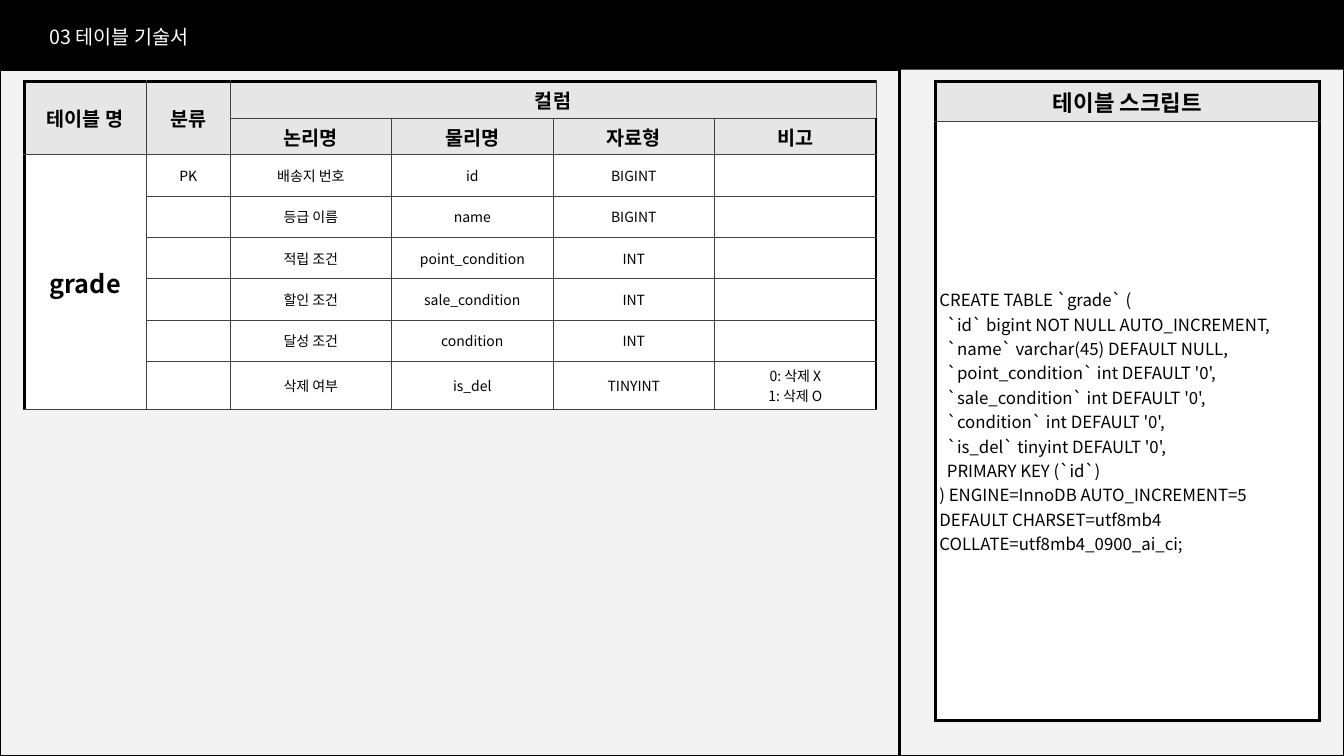
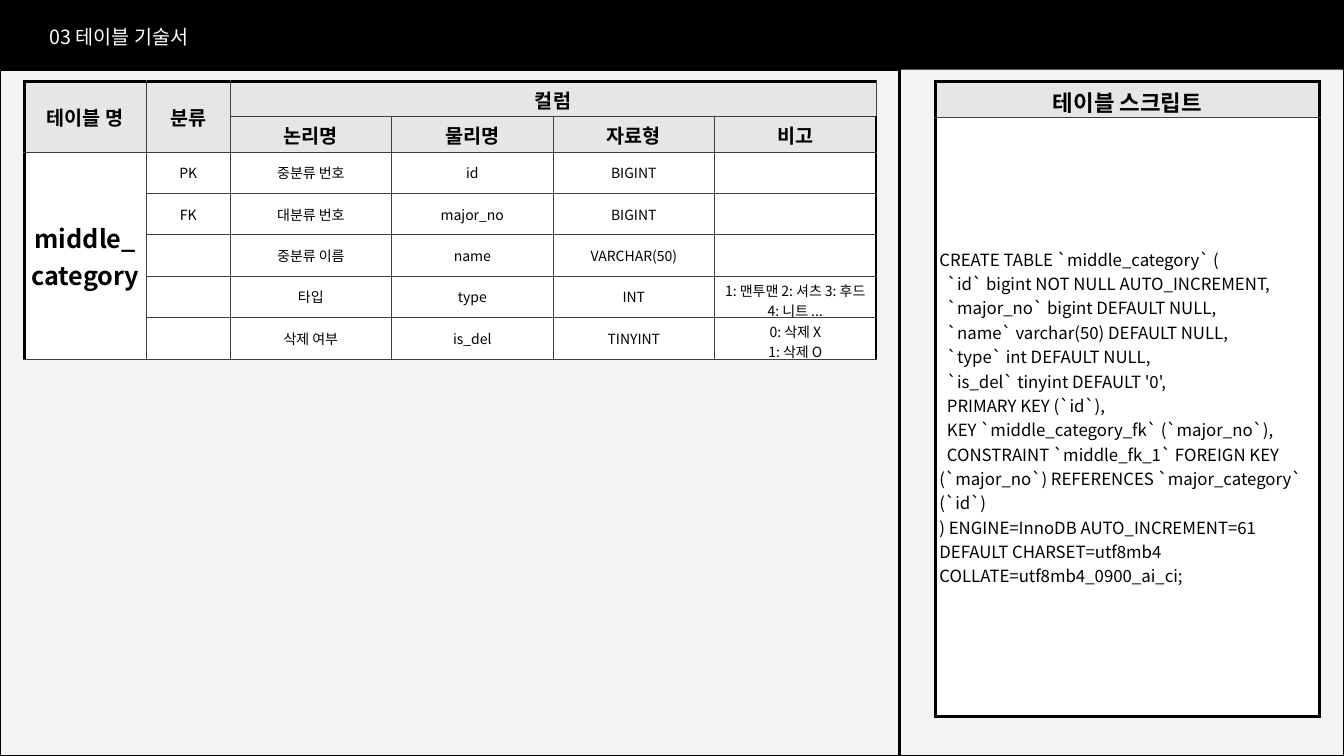
from collections import namedtuple

from lxml.etree import SubElement
from pptx import Presentation
from pptx.dml.color import RGBColor as Rgb
from pptx.enum.shapes import MSO_SHAPE as Shape
from pptx.enum.text import MSO_ANCHOR as Anchor, PP_ALIGN as Align
from pptx.oxml.ns import qn
from pptx.util import Inches, Pt

Box = namedtuple("Box", "left top width height")

SLIDE_WIDTH, SLIDE_HEIGHT = Inches(13.33), Inches(7.5)
FONT = "Noto Sans CJK KR"
COLORS = {
    "page": "F3F3F3", "band": "000000", "text": "000000", "title": "FFFFFF",
    "head": "E6E6E6", "body": "FFFFFF", "frame": "000000", "grid": "404040",
}
STYLES = {
    "title": {"size": Pt(14), "bold": False},
    "head": {"size": Pt(14), "bold": True},
    "name": {"size": Pt(18), "bold": True},
    "body": {"size": Pt(10), "bold": False},
    "script head": {"size": Pt(16), "bold": True},
    "script": {"size": Pt(12), "bold": False},
}
COLUMN_WEIGHTS = (1.21, 0.83, 1.6, 1.6, 1.6, 1.6)
HEAD_ROW, BODY_ROW = 4.67, 5.46  # percent of the slide height
SCRIPT_ROWS = (4.8, 79.2)
HEADINGS = ("테이블 명", "분류", "컬럼")
SUBHEADINGS = ("논리명", "물리명", "자료형", "비고")
DELETED = ("", "삭제 여부", "is_del", "TINYINT", "0: 삭제 X\n1: 삭제 O")

TABLES = [
    {
        "name": "grade",
        "rows": [
            ("PK", "배송지 번호", "id", "BIGINT", ""),
            ("", "등급 이름", "name", "BIGINT", ""),
            ("", "적립 조건", "point_condition", "INT", ""),
            ("", "할인 조건", "sale_condition", "INT", ""),
            ("", "달성 조건", "condition", "INT", ""),
            DELETED,
        ],
        "script": """CREATE TABLE `grade` (
  `id` bigint NOT NULL AUTO_INCREMENT,
  `name` varchar(45) DEFAULT NULL,
  `point_condition` int DEFAULT '0',
  `sale_condition` int DEFAULT '0',
  `condition` int DEFAULT '0',
  `is_del` tinyint DEFAULT '0',
  PRIMARY KEY (`id`)
) ENGINE=InnoDB AUTO_INCREMENT=5 DEFAULT CHARSET=utf8mb4 COLLATE=utf8mb4_0900_ai_ci;""",
    },
    {
        "name": "middle_\vcategory",
        "rows": [
            ("PK", "중분류 번호", "id", "BIGINT", ""),
            ("FK", "대분류 번호", "major_no", "BIGINT", ""),
            ("", "중분류 이름", "name", "VARCHAR(50)", ""),
            ("", "타입", "type", "INT", "1: 맨투맨 2: 셔츠 3: 후드 4: 니트 ..."),
            DELETED,
        ],
        "script": """CREATE TABLE `middle_category` (
  `id` bigint NOT NULL AUTO_INCREMENT,
  `major_no` bigint DEFAULT NULL,
  `name` varchar(50) DEFAULT NULL,
  `type` int DEFAULT NULL,
  `is_del` tinyint DEFAULT '0',
  PRIMARY KEY (`id`),
  KEY `middle_category_fk` (`major_no`),
  CONSTRAINT `middle_fk_1` FOREIGN KEY (`major_no`) REFERENCES `major_category` (`id`)
) ENGINE=InnoDB AUTO_INCREMENT=61 DEFAULT CHARSET=utf8mb4 COLLATE=utf8mb4_0900_ai_ci;""",
    },
]


def color(name):
    return Rgb.from_string(COLORS[name])


def share(left, top, width, height):
    """Turn percentages of the slide into a box."""
    across, down = SLIDE_WIDTH / 100, SLIDE_HEIGHT / 100
    return Box(*map(int, (left * across, top * down, width * across, height * down)))


def write(frame, text, style, ink="text", align=Align.CENTER):
    frame.text = text
    for para in frame.paragraphs:
        para.alignment = align
        for span in para.runs:
            for key, value in {**STYLES[style], "name": FONT}.items():
                setattr(span.font, key, value)
            span.font.color.rgb = color(ink)
            SubElement(span._r.get_or_add_rPr(), qn("a:ea"), typeface=FONT)
        if not para.runs:
            size = str(int(STYLES[style]["size"].pt * 100))
            SubElement(para._p, qn("a:endParaRPr"), sz=size)


def add_panel(page, box, fill=None):
    panel = page.shapes.add_shape(Shape.RECTANGLE, *box)
    panel.shadow.inherit = False
    if fill:
        panel.fill.solid()
        panel.fill.fore_color.rgb = color(fill)
        panel.line.fill.background()
    else:
        panel.fill.background()
        panel.line.color.rgb = color("frame")
        panel.line.width = Pt(1.5)


def add_title(page, box):
    title = page.shapes.add_textbox(*box)
    title.text_frame.word_wrap = True
    write(title.text_frame, "03 테이블 기술서", "title", "title", Align.LEFT)


def set_borders(cell, thick_sides):
    for side in "LRTB":
        thick = side in thick_sides
        line = SubElement(cell._tc.get_or_add_tcPr(), qn(f"a:ln{side}"),
                          w=str(Pt(2.25 if thick else 0.75)))
        fill = SubElement(line, qn("a:solidFill"))
        SubElement(fill, qn("a:srgbClr"), val=COLORS["frame" if thick else "grid"])


def add_grid(page, box, weights, heights, head_rows, closed=False):
    """Add an empty framed table; a closed one has a thick bottom edge too."""
    last_row, last_column = len(heights) - 1, len(weights) - 1
    grid = page.shapes.add_table(last_row + 1, last_column + 1, *box).table
    grid.first_row = grid.horz_banding = False
    for column, weight in zip(grid.columns, weights):
        column.width = int(box.width * weight / sum(weights))
    for row, height in zip(grid.rows, heights):
        row.height = int(SLIDE_HEIGHT * height / 100)
    for r, row in enumerate(grid.rows):
        for c, cell in enumerate(row.cells):
            edges = {"L": c == 0, "R": c == last_column, "T": r == 0,
                     "B": closed and r == last_row}
            set_borders(cell, [side for side, outer in edges.items() if outer])
            cell.fill.solid()
            cell.fill.fore_color.rgb = color("head" if r < head_rows else "body")
            cell.vertical_anchor = Anchor.MIDDLE
            for side in ("left", "right", "top", "bottom"):
                setattr(cell, f"margin_{side}", Inches(0.04))
    return grid


def add_column_table(page, box, name, rows):
    heights = [HEAD_ROW] * 2 + [BODY_ROW] * len(rows)
    grid = add_grid(page, box, COLUMN_WEIGHTS, heights, head_rows=2)
    last_row = len(heights) - 1
    texts = [HEADINGS + ("",) * 3, ("", "") + SUBHEADINGS]
    texts += [(name if i == 0 else "",) + row for i, row in enumerate(rows)]
    for r, row in enumerate(texts):
        for c, text in enumerate(row):
            style = "head" if r < 2 else "name" if c == 0 and text else "body"
            write(grid.cell(r, c).text_frame, text, style)
    for start, end in (((0, 0), (1, 0)), ((0, 1), (1, 1)),
                       ((0, 2), (0, 5)), ((2, 0), (last_row, 0))):
        grid.cell(*start).merge(grid.cell(*end))


def add_script_table(page, box, script):
    grid = add_grid(page, box, (1,), SCRIPT_ROWS, head_rows=1, closed=True)
    write(grid.cell(0, 0).text_frame, "테이블 스크립트", "script head")
    write(grid.cell(1, 0).text_frame, script, "script", align=Align.LEFT)


def add_table_page(deck, name, rows, script):
    page = deck.slides.add_slide(deck.slide_layouts[6])
    page.background.fill.solid()
    page.background.fill.fore_color.rgb = color("page")
    add_panel(page, share(0, 0, 100, 9.2), "band")
    add_panel(page, share(0, 9.2, 66.92, 90.8))
    add_panel(page, share(66.99, 5.2, 33.01, 94.8))
    table_height = 2 * HEAD_ROW + len(rows) * BODY_ROW
    add_column_table(page, share(1.8, 10.8, 63.39, table_height), name, rows)
    add_script_table(page, share(69.6, 10.8, 28.58, sum(SCRIPT_ROWS)), script)
    add_title(page, share(2.93, 2.67, 50, 4.53))


def main():
    deck = Presentation()
    deck.slide_width, deck.slide_height = SLIDE_WIDTH, SLIDE_HEIGHT
    for table in TABLES:
        add_table_page(deck, **table)
    deck.save("out.pptx")


if __name__ == "__main__":
    main()
